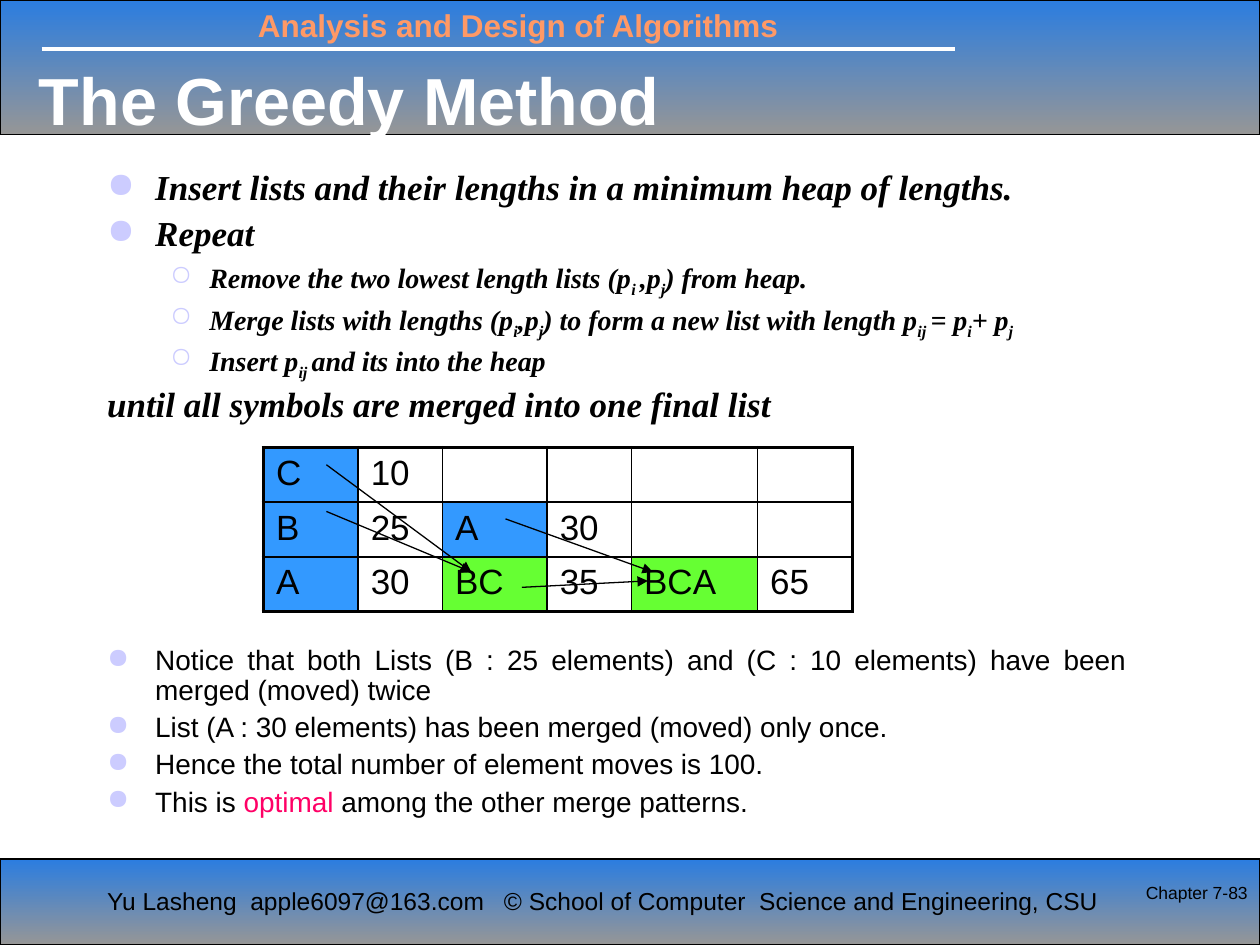
from dataclasses import dataclass

from lxml.etree import SubElement
from pptx import Presentation
from pptx.dml.color import RGBColor as Rgb
from pptx.enum.shapes import MSO_CONNECTOR as Link, MSO_SHAPE as Preset
from pptx.enum.text import MSO_ANCHOR as Anchor, MSO_AUTO_SIZE as Fit, PP_ALIGN as Align
from pptx.oxml import parse_xml
from pptx.oxml.ns import nsdecls, qn
from pptx.util import Cm, Pt


@dataclass(frozen=True)
class Theme:
    sans: str = "Arial"
    serif: str = "Times New Roman"
    black: str = "000000"
    white: str = "FFFFFF"
    bar_top: str = "2B7DE0"
    bar_bottom: str = "969696"
    course: str = "FF9966"
    bullet: str = "CCCCFF"
    accent: str = "FF0066"
    source: str = "3399FF"
    merged: str = "66FF33"
    title_size: float = 38
    large_size: float = 20
    course_size: float = 18
    body_size: float = 16
    footer_size: float = 14
    number_size: float = 10
    thick: float = 2.25
    inner: float = 1
    thin: float = 0.75


THEME = Theme()
STEPS = [
    (0, "●", "Insert lists and their lengths in a minimum heap of lengths."),
    (0, "●", "Repeat"),
    (1, "○", "Remove the two lowest length lists (p|i |,p|j|) from heap."),
    (1, "○", "Merge lists with lengths (p|i|,p|j|) to form a new list with length p|ij |= p|i|+ p|j"),
    (1, "○", "Insert p|ij |and its into the heap"),
    (0, None, "until all symbols are merged into one final list"),
]
NOTES = [
    "Notice that both Lists (B : 25 elements) and (C : 10 elements) have been merged (moved) twice",
    "List (A : 30 elements) has been merged (moved) only once.",
    "Hence the total number of element moves is 100.",
    "This is |optimal |among the other merge patterns.",
]
INDENTS = [(0.97, -0.97), (2.06, -0.79)]
MERGES = [
    ["C", "10", "", "", "", ""],
    ["B", "25", "A", "30", "", ""],
    ["A", "30", "BC", "35", "BCA", "65"],
]
COLUMN_WIDTHS = [1.91, 1.7, 2.11, 1.7, 2.54, 1.91]
ARROWS = [
    (6.58, 9.37, 9.5, 11.53),
    (6.58, 10.31, 9.5, 11.53),
    (10.19, 10.46, 13.16, 11.53),
    (10.52, 11.84, 13.06, 11.71),
]


def set_font(font, size, color=THEME.black, name=THEME.sans, bold=False, italic=False):
    font.name, font.size = name, Pt(size)
    font.bold, font.italic = bold, italic
    font.color.rgb = Rgb.from_string(color)


def add_bar(page, top, height):
    bar = page.shapes.add_shape(Preset.RECTANGLE, 0, Cm(top), Cm(25.4), Cm(height))
    bar.shadow.inherit = False
    bar.fill.gradient()
    bar.fill.gradient_angle = 270
    for stop, color in zip(bar.fill.gradient_stops, (THEME.bar_top, THEME.bar_bottom)):
        stop.color.rgb = Rgb.from_string(color)
    bar.line.color.rgb = Rgb.from_string(THEME.black)
    bar.line.width = Pt(THEME.thin)


def add_line(page, ends, color, width, arrow=False):
    line = page.shapes.add_connector(Link.STRAIGHT, *map(Cm, ends))
    line.line.color.rgb = Rgb.from_string(color)
    line.line.width = Pt(width)
    if arrow:
        SubElement(line.line._get_or_add_ln(), qn("a:tailEnd"), type="triangle")
    SubElement(line._element.spPr, qn("a:effectLst"))


def add_box(page, left, top, width, height, wrap=True):
    box = page.shapes.add_textbox(*map(Cm, (left, top, width, height)))
    box.text_frame.word_wrap = wrap
    return box.text_frame


def add_label(page, place, text, size, color=THEME.black, bold=False, align=Align.LEFT, wrap=True):
    para = add_box(page, *place, wrap=wrap).paragraphs[0]
    para.text, para.alignment = text, align
    set_font(para.font, size, color, bold=bold)


def add_title(page, text):
    title = page.shapes.title
    title.left, title.top, title.width, title.height = map(Cm, (0.53, 0.69, 21.59, 2.59))
    frame = title.text_frame
    frame.auto_size, frame.vertical_anchor = Fit.NONE, Anchor.MIDDLE
    para = frame.paragraphs[0]
    para.text, para.alignment = text, Align.LEFT
    set_font(para.font, THEME.title_size, THEME.white, bold=True)


def add_item(frame, first, text, level, mark, space, style_marked):
    para = frame.paragraphs[0] if first else frame.add_paragraph()
    para.level, para.line_spacing = level, 0.9
    para.space_before = Pt(0 if first else space)
    props = para._p.get_or_add_pPr()
    margin, indent = INDENTS[level]
    props.set("marL", str(Cm(margin)))
    props.set("indent", str(Cm(indent)))
    if mark:
        SubElement(SubElement(props, qn("a:buClr")), qn("a:srgbClr"), val=THEME.bullet)
        SubElement(props, qn("a:buChar"), char=mark)
    for index, part in enumerate(text.split("|")):
        if part:
            span = para.add_run()
            span.text = part
            if index % 2:
                style_marked(span)
    return para


def lower(span):
    span._r.get_or_add_rPr().set("baseline", "-25000")


def highlight(span):
    span.font.color.rgb = Rgb.from_string(THEME.accent)


def add_steps(page):
    frame = add_box(page, 1.91, 3.3, 21.06, 5.6)
    for index, (level, mark, text) in enumerate(STEPS):
        size = THEME.body_size if level else THEME.large_size
        para = add_item(frame, index == 0, text, level, mark, size / 4, lower)
        set_font(para.font, size, name=THEME.serif, bold=True, italic=True)


def add_notes(page):
    frame = add_box(page, 1.91, 12.9, 21.06, 4)
    for index, text in enumerate(NOTES):
        para = add_item(frame, index == 0, text, 0, "●", THEME.body_size / 4, highlight)
        para.alignment = Align.JUSTIFY
        set_font(para.font, THEME.body_size)


def set_borders(cell, outer_sides):
    props = cell._tc.get_or_add_tcPr()
    for index, side in enumerate("LRTB"):
        width = Pt(THEME.thick if side in outer_sides else THEME.inner)
        props.insert(index, parse_xml(
            f'<a:ln{side} {nsdecls("a")} w="{width}"><a:solidFill>'
            f'<a:srgbClr val="{THEME.black}"/></a:solidFill></a:ln{side}>'))


def add_merge_table(page):
    rows, columns = len(MERGES), len(COLUMN_WIDTHS)
    row_height = 1.05
    table = page.shapes.add_table(rows, columns, Cm(5.31), Cm(9.02),
                                  Cm(sum(COLUMN_WIDTHS)), Cm(rows * row_height)).table
    table.first_row = table.horz_banding = False
    for column, width in zip(table.columns, COLUMN_WIDTHS):
        column.width = Cm(width)
    for r, values in enumerate(MERGES):
        table.rows[r].height = Cm(row_height)
        for c, value in enumerate(values):
            cell = table.cell(r, c)
            para = cell.text_frame.paragraphs[0]
            para.text = value
            set_font(para.font, THEME.large_size)
            if value.isalpha():
                cell.fill.solid()
                color = THEME.merged if len(value) > 1 else THEME.source
                cell.fill.fore_color.rgb = Rgb.from_string(color)
            else:
                cell.fill.background()
            edges = {"L": c == 0, "R": c == columns - 1, "T": r == 0, "B": r == rows - 1}
            set_borders(cell, [side for side, outer in edges.items() if outer])


def main():
    deck = Presentation()
    deck.slide_width, deck.slide_height = Cm(25.4), Cm(19.05)
    page = deck.slides.add_slide(deck.slide_layouts[5])
    add_bar(page, 0, 2.72)
    add_bar(page, 17.32, 1.73)
    add_line(page, (0.84, 0.99, 19.25, 0.99), THEME.white, THEME.thick)
    add_label(page, (4.95, 0, 12.7, 1.02), "Analysis and Design of Algorithms",
              THEME.course_size, THEME.course, bold=True)
    add_label(page, (1.91, 17.73, 8.15, 0.86), "Yu Lasheng  apple6097@163.com",
              THEME.footer_size, wrap=False)
    add_label(page, (9.91, 17.73, 13, 0.86), "© School of Computer  Science and Engineering, CSU",
              THEME.footer_size, wrap=False)
    add_title(page, "The Greedy Method")
    title = page.shapes.title._element
    title.getparent().append(title)
    add_steps(page)
    add_notes(page)
    add_merge_table(page)
    for ends in ARROWS:
        add_line(page, ends, THEME.black, THEME.thin, arrow=True)
    add_label(page, (21.89, 17.65, 3.51, 1.27), "Chapter 7-83", THEME.number_size, align=Align.RIGHT)
    deck.save("out.pptx")


if __name__ == "__main__":
    main()
